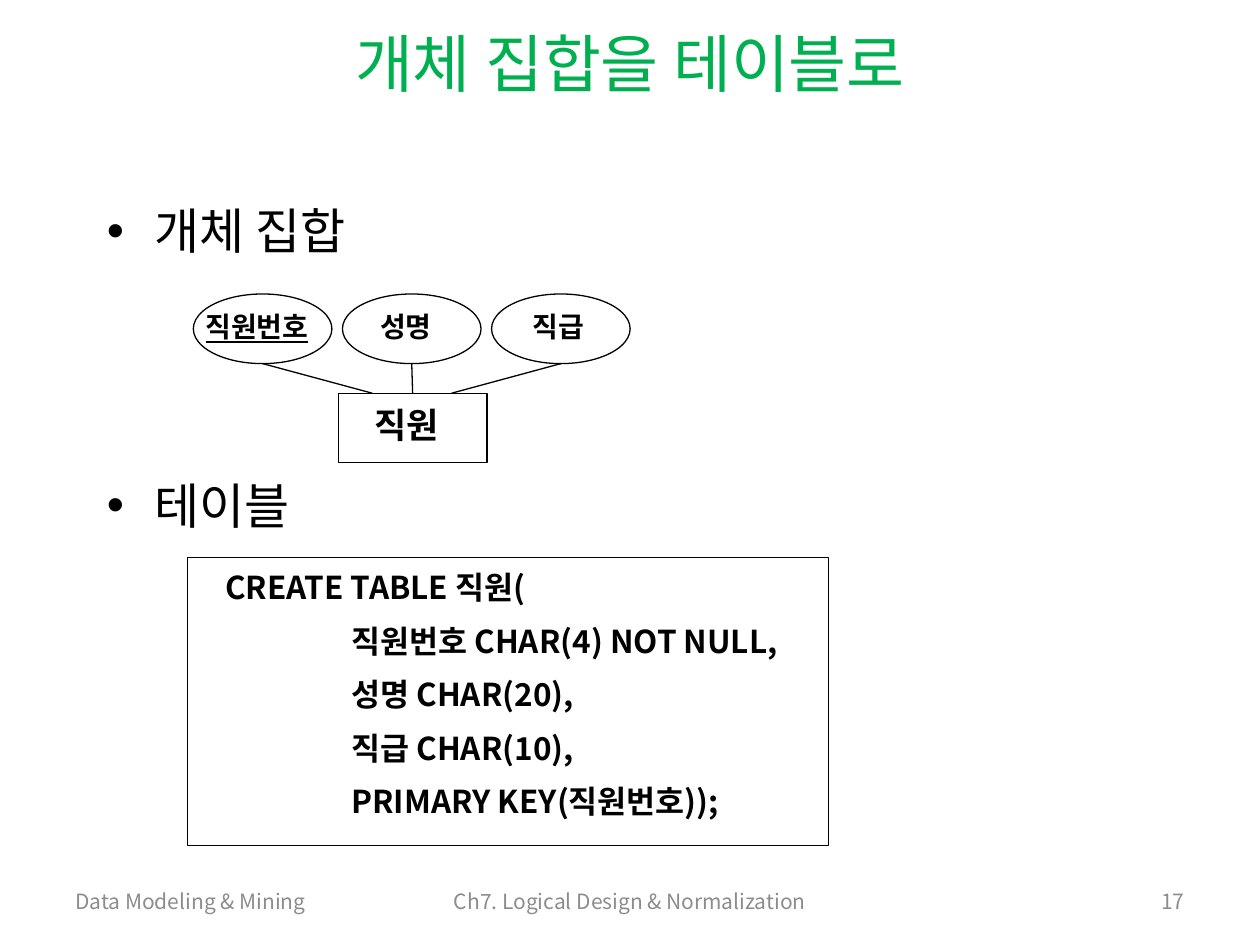
"""Build a slide that maps an entity set to a database table."""
from lxml import etree
from pptx import Presentation
from pptx.dml.color import RGBColor
from pptx.enum.shapes import MSO_CONNECTOR, MSO_SHAPE
from pptx.enum.text import MSO_ANCHOR, MSO_AUTO_SIZE, PP_ALIGN
from pptx.oxml.ns import qn
from pptx.util import Pt

LEFT, CENTER, RIGHT = PP_ALIGN.LEFT, PP_ALIGN.CENTER, PP_ALIGN.RIGHT
TOP, MIDDLE = MSO_ANCHOR.TOP, MSO_ANCHOR.MIDDLE
NO_AUTOFIT = MSO_AUTO_SIZE.NONE
RECTANGLE, OVAL = MSO_SHAPE.RECTANGLE, MSO_SHAPE.OVAL
STRAIGHT = MSO_CONNECTOR.STRAIGHT
FONT = "Noto Sans CJK KR"
BLACK, GRAY, GREEN = "000000", "8C8C8C", "00B050"


def write(box, lines, size, color=BLACK, bold=False, align=LEFT, anchor=TOP, gap=0):
    """Fill a box with formatted paragraphs."""
    frame = box.text_frame
    frame.text = "\n".join(lines)
    frame.word_wrap = True
    frame.auto_size = NO_AUTOFIT
    frame.vertical_anchor = anchor
    for number, para in enumerate(frame.paragraphs):
        para.alignment = align
        para.space_before = Pt(gap if number else 0)
        for span in para.runs:
            span.font.name = FONT
            span.font.size = Pt(size)
            span.font.bold = bold
            span.font.color.rgb = RGBColor.from_string(color)
            if color != GRAY:
                span.font._element.set("kern", "0")
            east_asian = etree.SubElement(span.font._element, qn("a:ea"))
            east_asian.set("typeface", FONT)


def outline(kind, left, top, width, height):
    """Draw an unfilled shape with a thin black line."""
    shape = page.shapes.add_shape(kind, Pt(left), Pt(top), Pt(width), Pt(height))
    shape.shadow.inherit = False
    shape.fill.background()
    shape.line.color.rgb = RGBColor.from_string(BLACK)
    shape.line.width = Pt(0.75)
    return shape


deck = Presentation()
deck.slide_width, deck.slide_height = Pt(720), Pt(540)
page = deck.slides.add_slide(deck.slide_layouts[5])

title = page.shapes.title
title.left, title.top, title.width, title.height = Pt(36), Pt(11), Pt(648), Pt(49)
write(title, ["개체 집합을 테이블로"], 36, GREEN, align=CENTER, anchor=MIDDLE)

footers = [
    ("Data Modeling & Mining", 36, 154, LEFT),
    ("Ch7. Logical Design & Normalization", 215, 290, CENTER),
    ("17", 638, 46, RIGHT),
]
for words, left, width, align in footers:
    footer = page.shapes.add_textbox(Pt(left), Pt(500.5), Pt(width), Pt(29))
    write(footer, [words], 12, GRAY, align=align, anchor=MIDDLE)

bullets = page.shapes.add_textbox(Pt(54), Pt(111.2), Pt(612), Pt(369))
write(bullets, ["개체 집합", "테이블"], 28, gap=123.2)
for para in bullets.text_frame.paragraphs:
    properties = para._p.get_or_add_pPr()
    properties.set("marL", str(Pt(27)))
    properties.set("indent", str(Pt(-27)))
    etree.SubElement(properties, qn("a:buFont")).set("typeface", "Arial")
    etree.SubElement(properties, qn("a:buChar")).set("char", "•")

entity = outline(RECTANGLE, 193.3, 224.7, 85, 39.6)
entity_label = page.shapes.add_textbox(Pt(207), Pt(226.8), Pt(73), Pt(31))
write(entity_label, ["직원"], 20, bold=True)

attributes = [("직원번호", 110.4, 79), ("성명", 210.2, 57), ("직급", 297.4, 51)]
for number, (name, label_left, label_width) in enumerate(attributes):
    oval_left = 110.5 + 85.2 * number
    outline(OVAL, oval_left, 168, 79.2, 39.8)
    label = page.shapes.add_textbox(Pt(label_left), Pt(173.5), Pt(label_width), Pt(27))
    write(label, [name], 16, bold=True)
    label.text_frame.paragraphs[0].runs[0].font.underline = number == 0

    link = page.shapes.add_connector(
        STRAIGHT, Pt(212.7 + 22.7 * number), Pt(224.7), Pt(oval_left + 39.6), Pt(207.8))
    if number == 1:
        link.begin_connect(entity, 0)
    link.line.color.rgb = RGBColor.from_string(BLACK)
    link.line.width = Pt(0.75)
    etree.SubElement(link._element.spPr, qn("a:effectLst"))

statement = [
    "CREATE TABLE 직원(",
    "\t직원번호 CHAR(4) NOT NULL,",
    "\t성명 CHAR(20),",
    "\t직급 CHAR(10),",
    "\tPRIMARY KEY(직원번호));",
]
code = page.shapes.add_textbox(Pt(121.7), Pt(321), Pt(408), Pt(159))
write(code, statement, 18, bold=True, gap=9)
for para in code.text_frame.paragraphs:
    properties = para._p.get_or_add_pPr()
    properties.set("defTabSz", str(Pt(72)))
    tabs = etree.SubElement(properties, qn("a:tabLst"))
    etree.SubElement(tabs, qn("a:tab"), pos=str(Pt(72)), algn="l")
outline(RECTANGLE, 107, 318.7, 366.5, 164.5)

deck.save("out.pptx")
